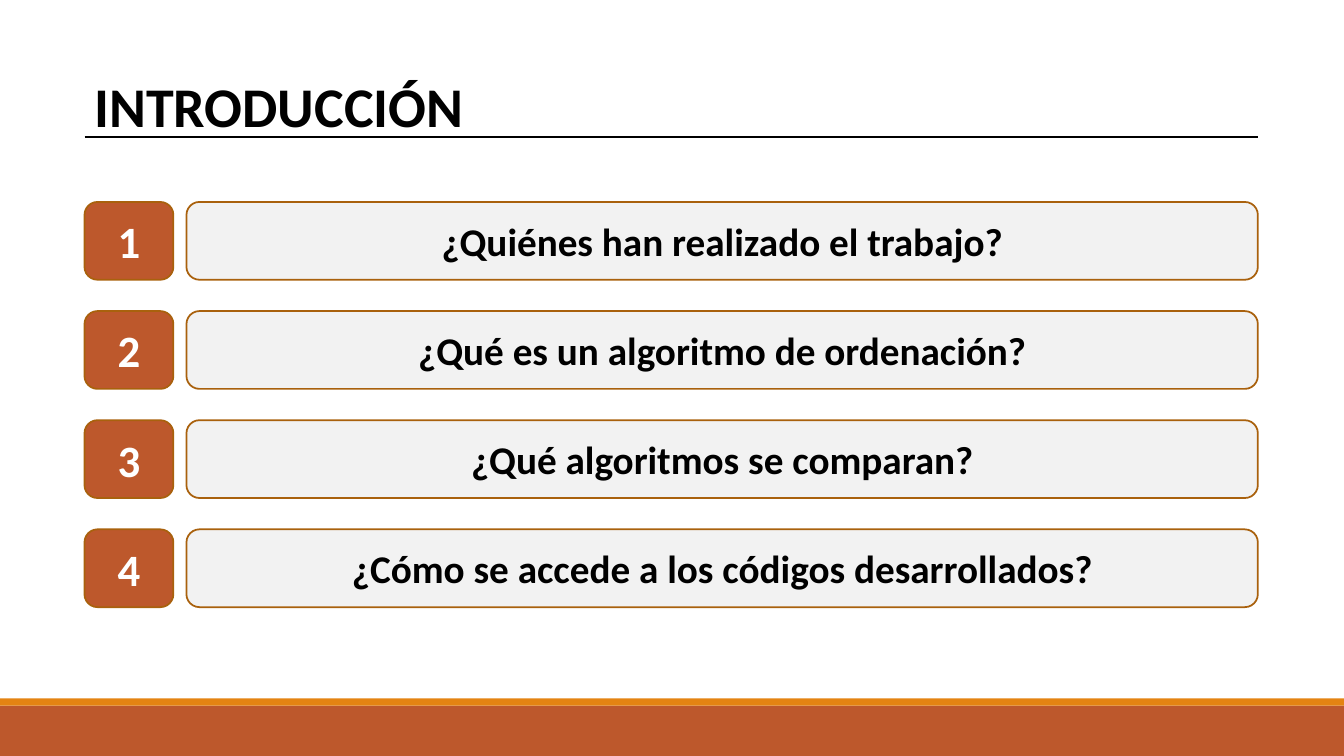
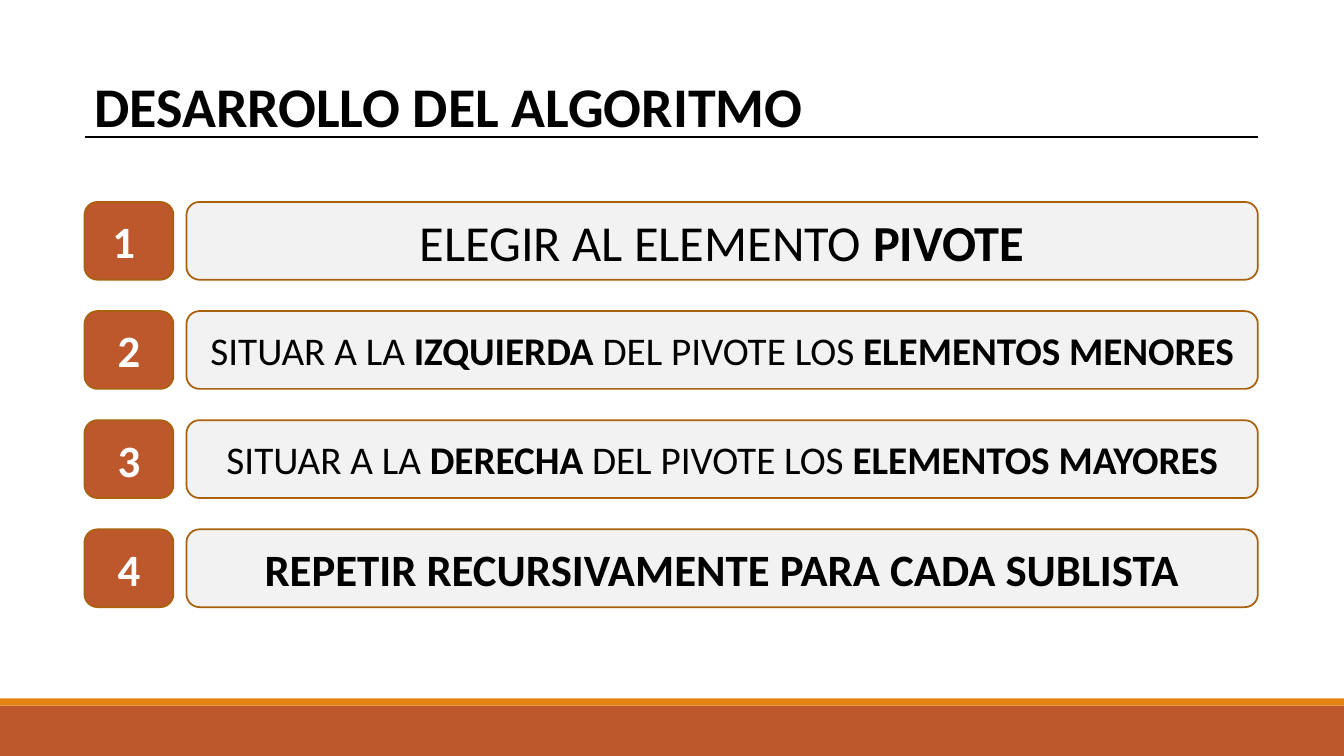
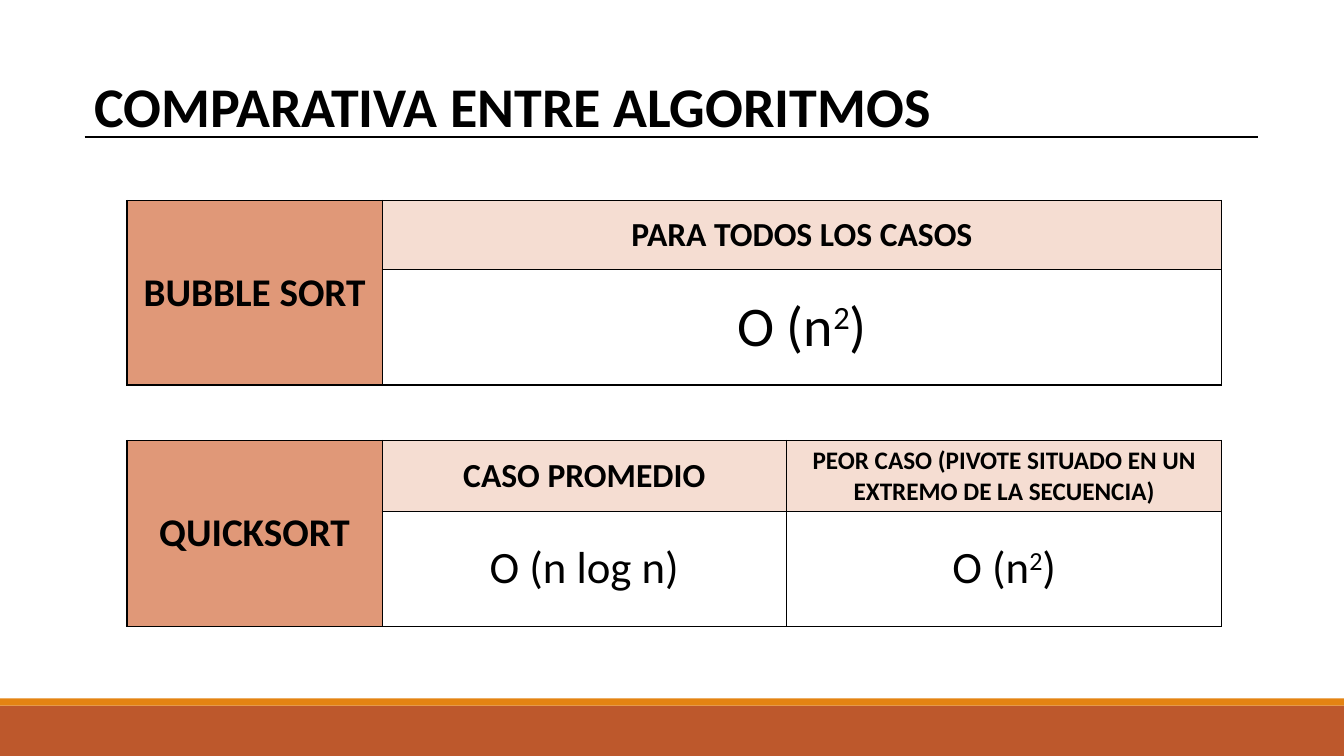
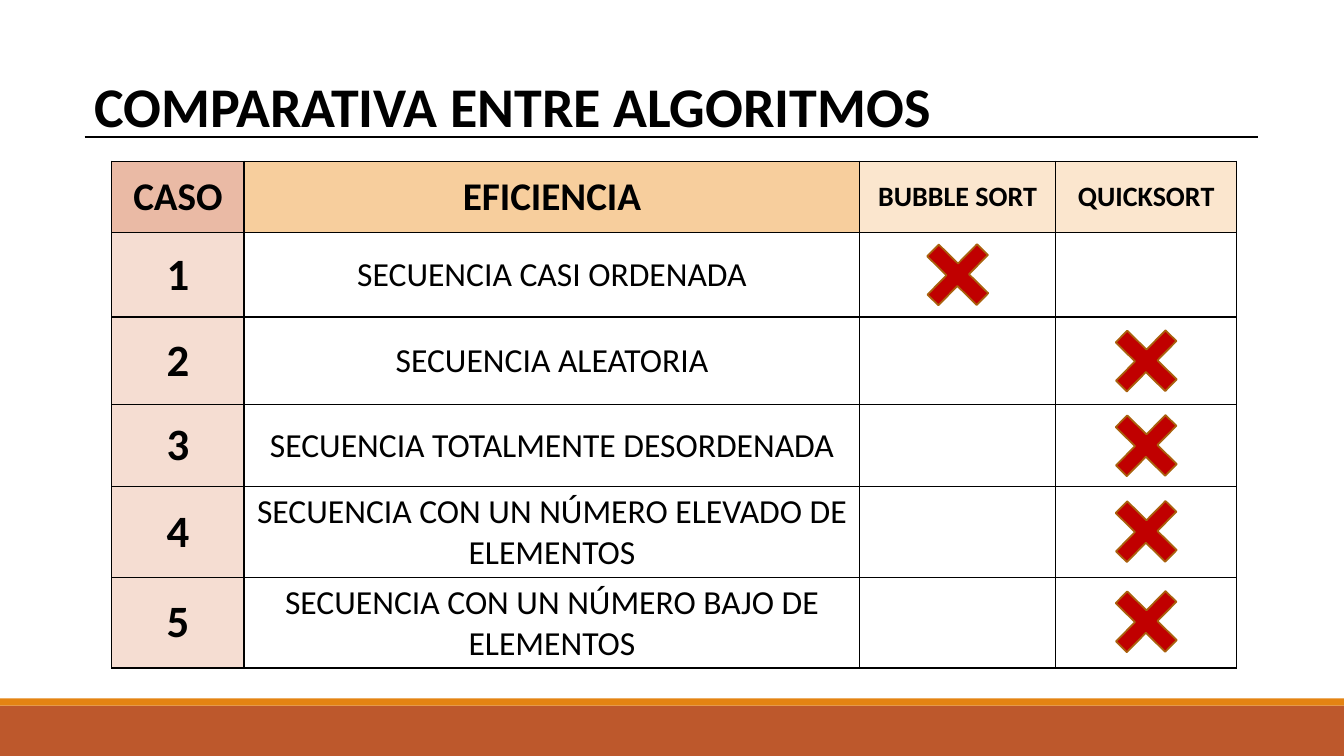
import pptx
import pptx.util
import pptx.oxml
import pptx.dml.color
import pptx.enum.shapes
import pptx.enum.text
from pptx.oxml.ns import nsdecls

Cm, Pt = pptx.util.Cm, pptx.util.Pt
SHAPE = pptx.enum.shapes.MSO_SHAPE
ALIGN = pptx.enum.text.PP_ALIGN
ANCHOR = pptx.enum.text.MSO_ANCHOR

COLORS = {
    "black": "000000", "white": "FFFFFF", "rust": "BD582C", "orange": "E48312",
    "outline": "A9610D", "panel": "F2F2F2", "clay": "E09878", "blush": "F5DDD2",
    "salmon": "EABAA5", "amber": "F7CE9D", "cream": "FBE6CE", "cross": "C00000",
}
FONT = "Calibri"
SLIDE_W, SLIDE_H = 33.87, 19.05
LEFT, CONTENT_W = 2.13, 29.57
BOLD = {"bold": True}
SUPER = {"baseline": 30000}
QUADRATIC = ["O (n", ("2", SUPER), ")"]


def rgb(name):
    return pptx.dml.color.RGBColor.from_string(COLORS[name])


def add_text(tf, text, size=28, color="black", bold=False, align=ALIGN.CENTER,
             anchor=ANCHOR.MIDDLE):
    """Write a string, or a list of strings and (string, overrides) runs."""
    tf.word_wrap = True
    tf.vertical_anchor = anchor
    p = tf.paragraphs[0]
    p.alignment = align
    for part in [text] if isinstance(text, str) else text:
        words, extra = (part, {}) if isinstance(part, str) else part
        r = p.add_run()
        r.text = words
        r.font.name, r.font.size = FONT, Pt(size)
        r.font.bold = extra.get("bold", bold)
        r.font.color.rgb = rgb(color)
        if "baseline" in extra:
            r._r.get_or_add_rPr().set("baseline", str(extra["baseline"]))


def add_box(slide, kind, left, top, width, height, fill, line=None):
    sp = slide.shapes.add_shape(kind, Cm(left), Cm(top), Cm(width), Cm(height))
    sp.shadow.inherit = False
    sp.fill.solid()
    sp.fill.fore_color.rgb = rgb(fill)
    if line:
        sp.line.color.rgb = rgb(line)
        sp.line.width = Pt(1.25)
    else:
        sp.line.fill.background()
    return sp


def add_base_slide(prs, title):
    """Blank slide with the footer bands, the title and its rule."""
    slide = prs.slides.add_slide(prs.slide_layouts[6])
    # Footer bands
    add_box(slide, SHAPE.RECTANGLE, 0, 17.78, SLIDE_W, 1.27, "rust")
    add_box(slide, SHAPE.RECTANGLE, 0, 17.6, SLIDE_W, 0.18, "orange")
    # Title
    tb = slide.shapes.add_textbox(Cm(LEFT), Cm(1.68), Cm(CONTENT_W), Cm(1.95))
    add_text(tb.text_frame, title, size=40, bold=True, align=ALIGN.LEFT,
             anchor=ANCHOR.TOP)
    # Rule under the title
    rule = slide.shapes.add_connector(
        pptx.enum.shapes.MSO_CONNECTOR.STRAIGHT,
        Cm(LEFT), Cm(3.45), Cm(LEFT + CONTENT_W), Cm(3.45))
    rule.line.color.rgb = rgb("black")
    rule.line.width = Pt(1.25)
    rule._element.spPr.append(
        pptx.oxml.parse_xml(f"<a:effectLst {nsdecls('a')}/>"))
    return slide


def add_numbered_list(slide, items, left, top, width, pitch=2.75):
    """Rows of a number badge and a panel; items are (label, text, format)."""
    badge_w, gap, height = 2.24, 0.33, 1.96
    panel_x = left + badge_w + gap
    for i, (label, text, fmt) in enumerate(items):
        y = top + i * pitch
        badge = add_box(slide, SHAPE.ROUNDED_RECTANGLE, left, y, badge_w, height,
                        "rust", "outline")
        add_text(badge.text_frame, label, size=32, color="white", bold=True)
        panel = add_box(slide, SHAPE.ROUNDED_RECTANGLE, panel_x, y,
                        width - badge_w - gap, height, "panel", "outline")
        add_text(panel.text_frame, text, **fmt)


def style_cell(cell, fill):
    cell.fill.solid()
    cell.fill.fore_color.rgb = rgb(fill)
    tcPr = cell._tc.get_or_add_tcPr()
    for i, side in enumerate("LRTB"):
        tcPr.insert(i, pptx.oxml.parse_xml(
            f'<a:ln{side} {nsdecls("a")} w="12700"><a:solidFill>'
            f'<a:srgbClr val="{COLORS["black"]}"/></a:solidFill></a:ln{side}>'))


def add_grid(slide, left, top, cols, rows, cells):
    """Table of (text, fill, format) cells; None leaves a cell empty."""
    table = slide.shapes.add_table(len(rows), len(cols), Cm(left), Cm(top),
                                   Cm(sum(cols)), Cm(sum(rows))).table
    table.first_row = table.horz_banding = False
    for col, width in zip(table.columns, cols):
        col.width = Cm(width)
    for row, height in zip(table.rows, rows):
        row.height = Cm(height)
    for r, line in enumerate(cells):
        for c, content in enumerate(line):
            cell = table.cell(r, c)
            text, fill, fmt = content or (None, "white", {})
            style_cell(cell, fill)
            if text:
                add_text(cell.text_frame, text, **fmt)
                cell.vertical_anchor = ANCHOR.MIDDLE
    return table


def add_cost_table(slide, left, top, name, cols, cases, costs, cost_size):
    """Algorithm name beside its cases and their costs."""
    cells = [
        [(name, "clay", BOLD)]
        + [(text, "blush", {"size": size, "bold": True}) for text, size in cases],
        [(None, "clay", {})]
        + [(cost, "white", {"size": cost_size}) for cost in costs],
    ]
    table = add_grid(slide, left, top, cols, [1.75, 2.9], cells)
    table.cell(0, 0).merge(table.cell(1, 0))


def add_winner_table(slide, left, top, headers, cases):
    """Table of cases with a cross in the column of the better algorithm."""
    cols = [3.33, 15.52, 4.93, 4.57]
    rows = [1.8, 2.13, 2.21, 2.06, 2.27, 2.27]
    cells = [[(text, fill, {"size": size, "bold": True})
              for text, fill, size in headers]]
    for i, (text, _) in enumerate(cases, 1):
        cells.append([(str(i), "blush", {"size": 32, "bold": True}),
                      (text, "white", {"size": 24}), None, None])
    add_grid(slide, left, top, cols, rows, cells)
    # Crosses, centred in their cells
    w, h = 1.75, 1.78
    for i, (_, col) in enumerate(cases, 1):
        x = left + sum(cols[:col]) + (cols[col] - w) / 2
        y = top + sum(rows[:i]) + (rows[i] - h) / 2
        cross = add_box(slide, SHAPE.CROSS, x, y, w, h, "cross", "outline")
        cross.adjustments[0] = 0.39
        cross.rotation = 44.5


def main():
    prs = pptx.Presentation()
    prs.slide_width, prs.slide_height = Cm(SLIDE_W), Cm(SLIDE_H)

    # Introduction
    slide = add_base_slide(prs, "INTRODUCCIÓN")
    add_numbered_list(slide, [
        ("1", "¿Quiénes han realizado el trabajo?", BOLD),
        ("2", "¿Qué es un algoritmo de ordenación?", BOLD),
        ("3", "¿Qué algoritmos se comparan?", BOLD),
        ("4", "¿Cómo se accede a los códigos desarrollados?", BOLD),
    ], LEFT, 5.09, CONTENT_W)

    # Steps of the algorithm
    slide = add_base_slide(prs, "DESARROLLO DEL ALGORITMO")
    add_numbered_list(slide, [
        ("1 ", ["ELEGIR AL ELEMENTO ", ("PIVOTE", BOLD)], {"size": 36}),
        ("2", ["SITUAR A LA ", ("IZQUIERDA", BOLD), " DEL PIVOTE LOS ",
               ("ELEMENTOS MENORES", BOLD)], {}),
        ("3", ["SITUAR A LA ", ("DERECHA ", BOLD), "DEL PIVOTE LOS ",
               ("ELEMENTOS MAYORES", BOLD)], {}),
        ("4", "REPETIR RECURSIVAMENTE PARA CADA SUBLISTA",
         {"size": 32, "bold": True}),
    ], LEFT, 5.09, CONTENT_W)

    # Cost of each algorithm
    slide = add_base_slide(prs, "COMPARATIVA ENTRE ALGORITMOS")
    add_cost_table(slide, 3.2, 11.1, "QUICKSORT", [6.43, 10.19, 10.97],
                   [("CASO PROMEDIO", 24),
                    ("PEOR CASO (PIVOTE SITUADO EN UN EXTREMO DE LA SECUENCIA)", 18)],
                   ["O (n log n)", QUADRATIC], 32)
    add_cost_table(slide, 3.2, 5.05, "BUBBLE SORT", [6.43, 21.16],
                   [("PARA TODOS LOS CASOS", 24)], [QUADRATIC], 40)

    # Better algorithm in each case
    slide = add_base_slide(prs, "COMPARATIVA ENTRE ALGORITMOS")
    bubble, quick = 2, 3
    add_winner_table(slide, 2.82, 4.06, [
        ("CASO", "salmon", 28), ("EFICIENCIA", "amber", 28),
        ("BUBBLE SORT", "cream", 20), ("QUICKSORT", "cream", 20),
    ], [
        ("SECUENCIA CASI ORDENADA", bubble),
        ("SECUENCIA ALEATORIA", quick),
        ("SECUENCIA TOTALMENTE DESORDENADA", quick),
        ("SECUENCIA CON UN NÚMERO ELEVADO DE ELEMENTOS", quick),
        ("SECUENCIA CON UN NÚMERO BAJO DE ELEMENTOS", quick),
    ])

    prs.save("out.pptx")


if __name__ == "__main__":
    main()
